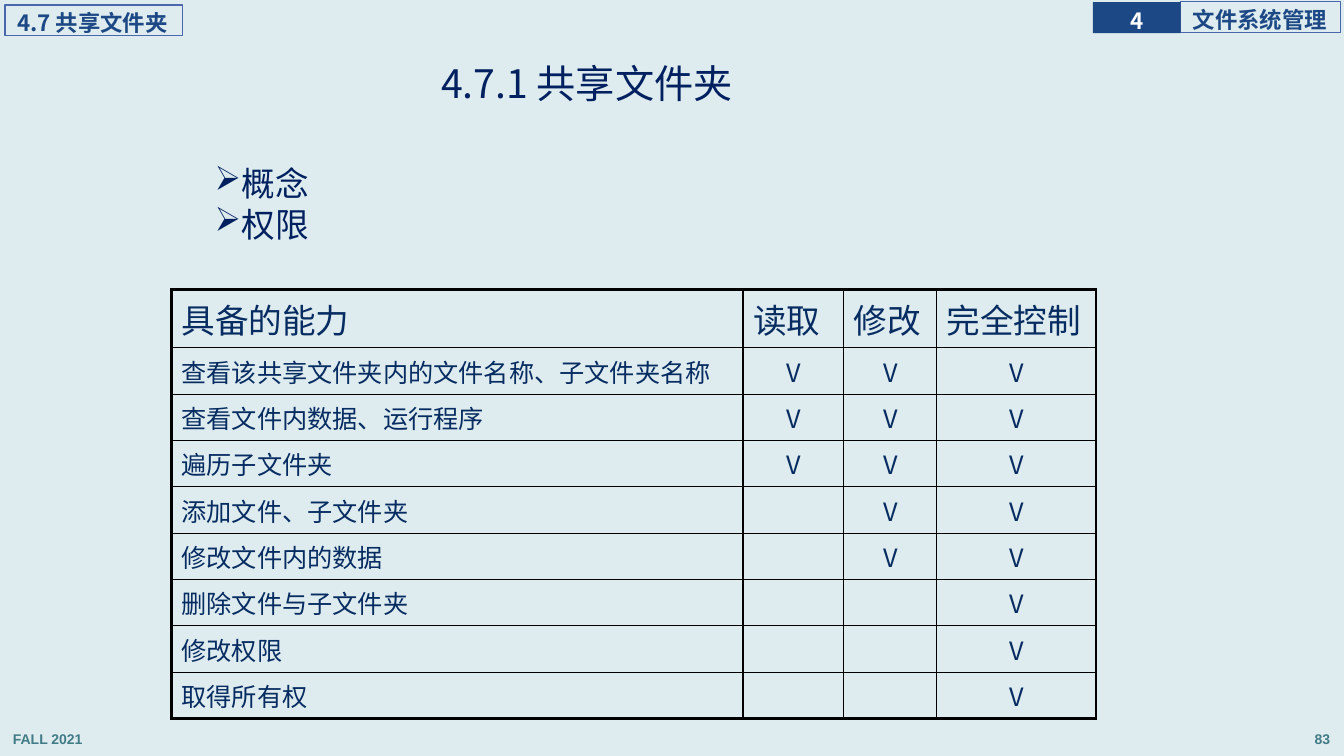
from lxml import etree
from pptx import Presentation
from pptx.dml.color import RGBColor
from pptx.enum.shapes import MSO_SHAPE
from pptx.enum.text import MSO_ANCHOR, PP_ALIGN
from pptx.oxml.ns import qn
from pptx.util import Inches, Pt

RECT = MSO_SHAPE.RECTANGLE
MIDDLE = MSO_ANCHOR.MIDDLE
LEFT, CENTER, RIGHT = PP_ALIGN.LEFT, PP_ALIGN.CENTER, PP_ALIGN.RIGHT
JUST = PP_ALIGN.JUSTIFY
BACK = RGBColor(0xDE, 0xEC, 0xEF)
NAVY = RGBColor(0x00, 0x20, 0x60)
INK = RGBColor(0x07, 0x2C, 0x62)
BLUE = RGBColor(0x1C, 0x48, 0x85)
EDGE = RGBColor(0x4A, 0x66, 0xAC)
TEAL = RGBColor(0x41, 0x7B, 0x85)
WHITE = RGBColor(0xFF, 0xFF, 0xFF)
BLACK = RGBColor(0x00, 0x00, 0x00)
SANS = "Noto Sans CJK SC"

TITLE = "4.7.1 共享文件夹"
POINTS = ["概念", "权限"]
TAGS = [
    ("文件系统管理", (11.71, 0.02, 1.59, 0.3), JUST, 0.12, False),
    ("4", (10.84, 0.02, 0.87, 0.31), CENTER, 0, True),
    ("4.7 共享文件夹", (0.05, 0.05, 1.76, 0.3), LEFT, 0.12, False),
]
FOOT = [("FALL 2021", 0.03, LEFT), ("83", 10.51, RIGHT)]
HEAD = ["具备的能力", "读取", "修改", "完全控制"]
RIGHTS = [
    ("查看该共享文件夹内的文件名称、子文件夹名称", 3),
    ("查看文件内数据、运行程序", 3),
    ("遍历子文件夹", 3),
    ("添加文件、子文件夹", 2),
    ("修改文件内的数据", 2),
    ("删除文件与子文件夹", 1),
    ("修改权限", 1),
    ("取得所有权", 1),
]
COLS = [5.67, 1, 0.92, 1.58]
HEAD_H, ROW_H = 0.58, 0.46


def write(frame, *lines, size=18, color=INK, font=SANS, bold=False,
          align=LEFT, space=1.0, before=0, after=0, bullet=None):
    for i, line in enumerate(lines):
        para = frame.add_paragraph() if i else frame.paragraphs[0]
        para.alignment, para.line_spacing = align, space
        para.space_before, para.space_after = Pt(before), Pt(after)
        run = para.add_run()
        run.text = line
        run.font.size, run.font.bold, run.font.name = Pt(size), bold, font
        run.font.color.rgb = color
        east = etree.SubElement(run.font._element, qn("a:ea"))
        east.set("typeface", font)
        if bullet:
            props = para._p.get_or_add_pPr()
            props.set("marL", str(Inches(0.19)))
            props.set("indent", str(Inches(-0.19)))
            etree.SubElement(props, qn("a:buChar")).set("char", bullet)


def inset(frame, left, top, right, bottom):
    frame.margin_left, frame.margin_right = Inches(left), Inches(right)
    frame.margin_top, frame.margin_bottom = Inches(top), Inches(bottom)


def add_box(slide, left, top, width, height):
    box = slide.shapes.add_textbox(*map(Inches, (left, top, width, height)))
    box.text_frame.word_wrap = True
    return box.text_frame


def add_tag(slide, text, place, align, pad, solid):
    tag = slide.shapes.add_shape(RECT, *map(Inches, place))
    tag.shadow.inherit = False
    if solid:
        tag.fill.solid()
        tag.fill.fore_color.rgb = BLUE
        tag.line.fill.background()
    else:
        tag.fill.background()
        tag.line.color.rgb, tag.line.width = EDGE, Pt(0.75)
    frame = tag.text_frame
    frame.word_wrap, frame.vertical_anchor = not solid, MIDDLE
    inset(frame, pad, 0, 0, 0)
    write(frame, text, size=16, bold=True, align=align, space=1.2,
          before=1.6, after=1.6, color=WHITE if solid else BLUE)


def edge_cell(cell, widths):
    props = cell._tc.get_or_add_tcPr()
    for i, (side, width) in enumerate(zip("LRTB", widths)):
        line = etree.Element(qn("a:ln" + side), w=str(Pt(width)))
        fill = etree.SubElement(line, qn("a:solidFill"))
        etree.SubElement(fill, qn("a:srgbClr")).set("val", str(BLACK))
        props.insert(i, line)


def add_grid(slide):
    rows = [HEAD]
    for name, count in RIGHTS:
        rows.append([name] + [""] * (3 - count) + ["V"] * count)
    high = [HEAD_H] + [ROW_H] * len(RIGHTS)
    shape = slide.shapes.add_table(
        len(rows), len(COLS), Inches(1.7), Inches(2.87),
        Inches(sum(COLS)), Inches(sum(high)))
    grid = shape.table
    grid.first_row = grid.horz_banding = False
    for col, width in zip(grid.columns, COLS):
        col.width = Inches(width)
    for r, row in enumerate(rows):
        grid.rows[r].height = Inches(high[r])
        for c, text in enumerate(row):
            cell = grid.cell(r, c)
            cell.fill.background()
            outer = (c == 0, c == len(COLS) - 1, r == 0, r == len(rows) - 1)
            edge_cell(cell, [2.25 if out else 1 for out in outer])
            if text:
                write(cell.text_frame, text, size=18 if r else 24,
                      align=CENTER if r and c else LEFT)


def main():
    """Build the shared folder slide."""
    deck = Presentation()
    deck.slide_width, deck.slide_height = Inches(13.33), Inches(7.5)
    slide = deck.slides.add_slide(deck.slide_layouts[5])
    slide.background.fill.solid()
    slide.background.fill.fore_color.rgb = BACK
    for text, left, align in FOOT:
        write(add_box(slide, left, 7.16, 2.78, 0.31), text, size=10,
              font="Arial", color=TEAL, bold=True, align=align, space=1.2)
    for tag in TAGS:
        add_tag(slide, *tag)
    title = slide.shapes.title
    title.left, title.top = Inches(0.07), Inches(0.5)
    title.width, title.height = Inches(11.5), Inches(0.7)
    title.text_frame.vertical_anchor = MIDDLE
    write(title.text_frame, TITLE, size=28, color=NAVY, align=CENTER, space=0.9)
    body = add_box(slide, 2.05, 1.67, 9.23, 4.61)
    inset(body, 0.08, 0.04, 0.08, 0.04)
    write(body, *POINTS, size=24, color=NAVY, space=0.75, before=7.5, bullet="➢")
    add_grid(slide)
    deck.save("out.pptx")


if __name__ == "__main__":
    main()
